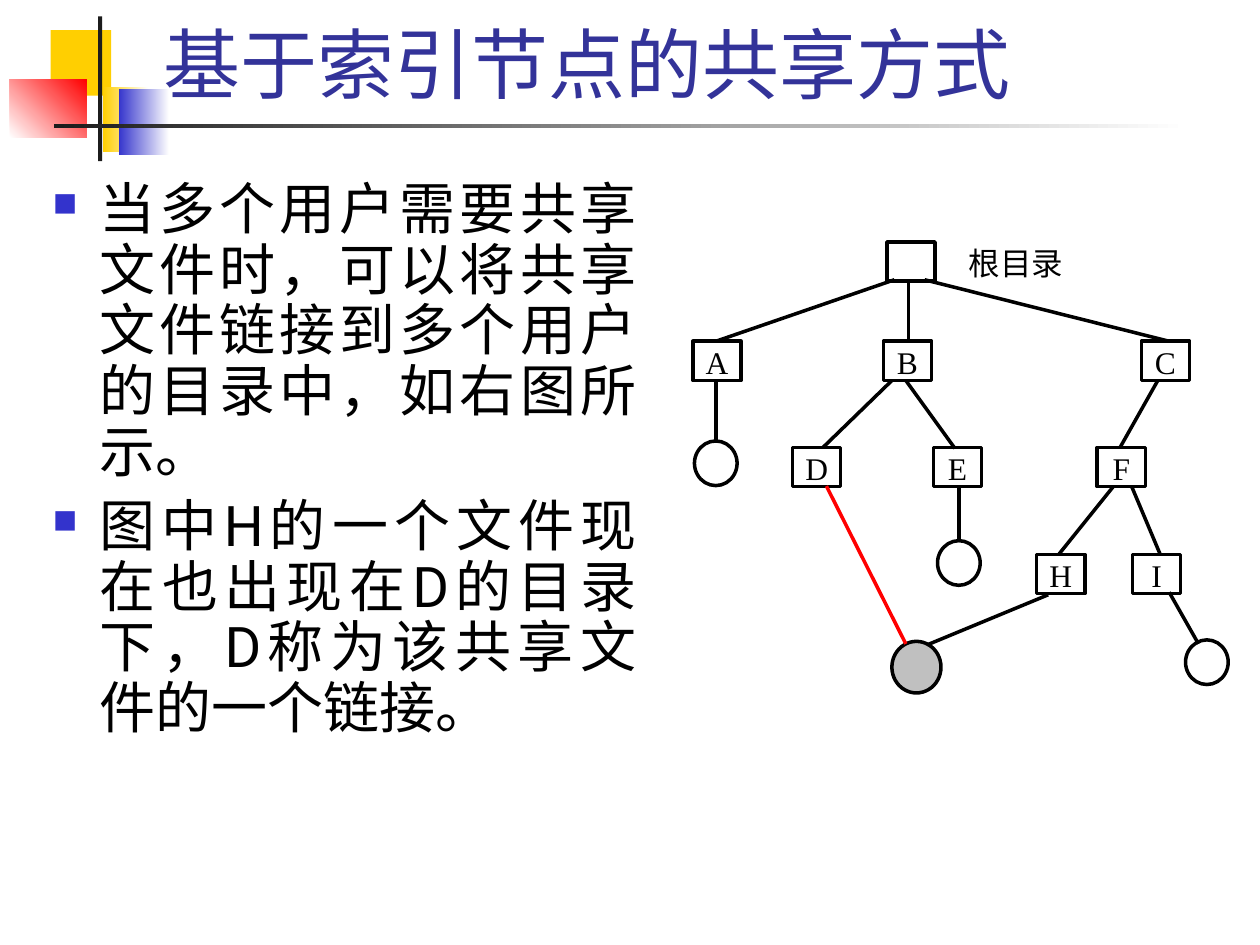
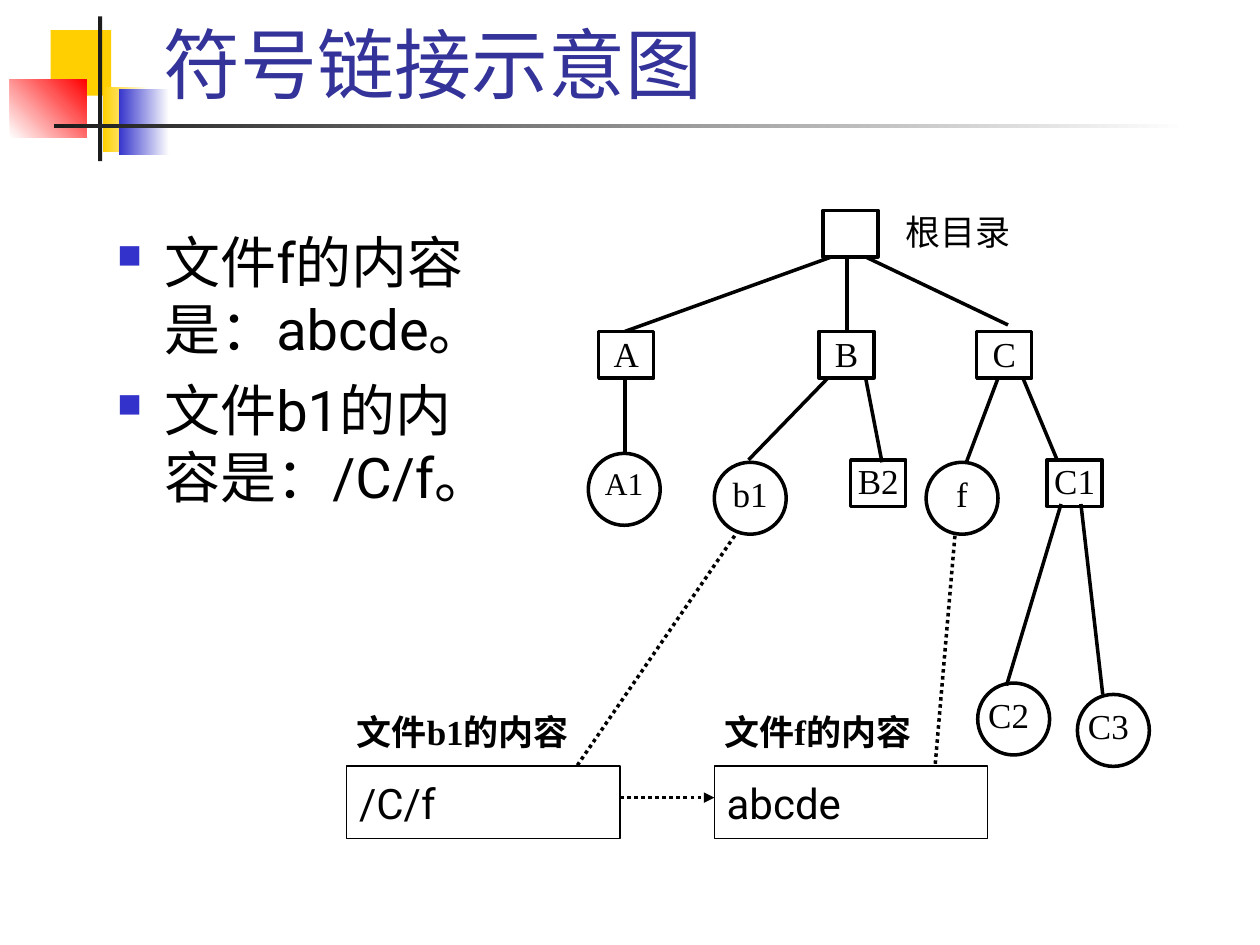
import pptx
import pptx.util
import pptx.dml.color
import pptx.enum.dml
import pptx.enum.shapes
import pptx.enum.text
import pptx.oxml.ns
from lxml import etree

Cm = pptx.util.Cm
Pt = pptx.util.Pt
RGBColor = pptx.dml.color.RGBColor
Kind = pptx.enum.shapes.MSO_SHAPE
Align = pptx.enum.text.PP_ALIGN
Anchor = pptx.enum.text.MSO_ANCHOR

BLACK = RGBColor(0x00, 0x00, 0x00)
WHITE = RGBColor(0xFF, 0xFF, 0xFF)
GRAY = RGBColor(0xC0, 0xC0, 0xC0)
RED = RGBColor(0xFF, 0x00, 0x00)
GOLD = RGBColor(0xFF, 0xCF, 0x01)
BLUE = RGBColor(0x33, 0x33, 0xCC)
NAVY = RGBColor(0x33, 0x33, 0x99)
DARK = RGBColor(0x1C, 0x1C, 0x1C)
SANS = "Roboto"
SERIF = "Times New Roman"
PAD = (0.2, 0.03, 0.2, 0.03)
BARE = (0, 0, 0, 0)
BODY = (0.25, 0.13, 0.25, 0.13)


def add_tag(parent, tag, **attrs):
    return etree.SubElement(parent, pptx.oxml.ns.qn("a:" + tag), **attrs)


class Deck:
    def __init__(self):
        self.prs = pptx.Presentation()
        self.prs.slide_width, self.prs.slide_height = Cm(25.4), Cm(19.05)
        self.slide = None

    def start(self, title):
        """Open a slide with the shared corner art, rule and title."""
        self.slide = self.prs.slides.add_slide(self.prs.slide_layouts[6])
        self.shape((1.02, 0.61, 1.22, 1.32), GOLD, width=0)
        self.fade((2.08, 1.75, 0.91, 1.32), GOLD, WHITE)
        self.fade((2.39, 1.8, 1.02, 1.32), BLUE, WHITE)
        self.fade((0.2, 1.6, 1.55, 1.17), WHITE, RED, 45)
        self.shape((1.98, 0.33, 0.08, 2.92), DARK, width=0)
        self.fade((1.09, 2.51, 22.86, 0.08), DARK, WHITE)
        self.label((3.05, 0.43, 21.64, 1.9), title, 44, SANS, color=NAVY,
                   align=Align.LEFT, pad=BODY, anchor=Anchor.BOTTOM)

    def shape(self, area, fill=WHITE, kind=Kind.RECTANGLE, width=2):
        shape = self.slide.shapes.add_shape(kind, *map(Cm, area))
        shape.shadow.inherit = False
        if fill is None:
            shape.fill.background()
        else:
            shape.fill.solid()
            shape.fill.fore_color.rgb = fill
        if width:
            shape.line.color.rgb = BLACK
            shape.line.width = Pt(width)
        else:
            shape.line.fill.background()
        return shape

    def fade(self, area, first, last, angle=0):
        fill = self.shape(area, width=0).fill
        fill.gradient()
        fill.gradient_angle = angle
        for stop, color in zip(fill.gradient_stops, (first, last)):
            stop.color.rgb = color

    def frame(self, shape, pad, anchor=Anchor.TOP, wrap=True):
        frame = shape.text_frame
        frame.word_wrap = wrap
        frame.vertical_anchor = anchor
        (frame.margin_left, frame.margin_top,
         frame.margin_right, frame.margin_bottom) = map(Cm, pad)
        return frame

    def style(self, para, text, size, font, color=BLACK, align=Align.LEFT, bold=False):
        para.text = text
        para.alignment = align
        para.font.size = Pt(size)
        para.font.name = font
        para.font.color.rgb = color
        para.font.bold = bold

    def label(self, area, text, size, font=SERIF, color=BLACK, align=Align.JUSTIFY,
              bold=False, pad=BARE, anchor=Anchor.TOP):
        box = self.slide.shapes.add_textbox(*map(Cm, area))
        para = self.frame(box, pad, anchor).paragraphs[0]
        self.style(para, text, size, font, color, align, bold)

    def points(self, area, texts, align=Align.LEFT, space=1.0):
        box = self.slide.shapes.add_textbox(*map(Cm, area))
        frame = self.frame(box, BODY)
        for i, text in enumerate(texts):
            para = frame.add_paragraph() if i else frame.paragraphs[0]
            para.line_spacing = space
            para.space_before = Pt(8 if i else 0)
            props = para._p.get_or_add_pPr()
            props.set("marL", str(Cm(0.95)))
            props.set("indent", str(Cm(-0.95)))
            add_tag(add_tag(props, "buClr"), "srgbClr", val=str(BLUE))
            add_tag(props, "buSzPct", val="60000")
            add_tag(props, "buChar", char="■")
            self.style(para, text, 32, SANS, align=align)

    def node(self, area, text="", size=18, kind=Kind.RECTANGLE, fill=WHITE,
             pad=PAD, align=Align.CENTER):
        shape = self.shape(area, fill, kind)
        if text:
            para = self.frame(shape, pad).paragraphs[0]
            self.style(para, text, size, SERIF, align=align)

    def file(self, area, text):
        shape = self.shape(area, None, width=0.75)
        frame = self.frame(shape, BODY, Anchor.MIDDLE, wrap=False)
        self.style(frame.paragraphs[0], text, 24, SANS)

    def line(self, ends, color=BLACK, dots=False, arrow=False):
        line = self.slide.shapes.add_connector(
            pptx.enum.shapes.MSO_CONNECTOR.STRAIGHT, *map(Cm, ends))
        line.line.color.rgb = color
        line.line.width = Pt(2)
        if dots:
            line.line.dash_style = pptx.enum.dml.MSO_LINE.ROUND_DOT
        props = line._element.spPr
        if arrow:
            add_tag(props.find(pptx.oxml.ns.qn("a:ln")), "tailEnd", type="triangle")
        add_tag(props, "effectLst")


def draw_shared(deck):
    deck.start("基于索引节点的共享方式")
    deck.points((0.81, 3.53, 12.27, 12.27), [
        "当多个用户需要共享文件时，可以将共享文件链接到多个用户的目录中，如右图所示。",
        "图中H的一个文件现在也出现在D的目录下，D称为该共享文件的一个链接。",
    ], Align.JUSTIFY, 0.9)

    # Folders, by row
    rows = {
        4.88: [("", 17.88)],
        6.88: [("A", 13.97), ("B", 17.81), ("C", 23.01)],
        9.02: [("D", 15.98), ("E", 18.82), ("F", 22.12)],
        11.18: [("H", 20.9), ("I", 22.83)],
    }
    for top, row in rows.items():
        for name, left in row:
            deck.node((left, top, 0.97, 0.79), name)
    deck.label((19.33, 4.88, 2.46, 0.89), "根目录", 18, pad=PAD)

    # Files
    for left, top in [(14, 8.89), (18.9, 10.9), (23.9, 12.9)]:
        deck.node((left, top, 0.86, 0.9), kind=Kind.OVAL)
    deck.node((17.98, 12.93, 0.99, 1.04), kind=Kind.OVAL, fill=GRAY)

    # Links
    for ends in [
        (18.03, 5.64, 14.43, 6.88), (18.31, 5.64, 18.31, 6.88),
        (18.64, 5.64, 23.57, 6.88), (14.43, 7.67, 14.43, 8.92),
        (17.98, 7.67, 16.59, 9.02), (18.26, 7.67, 19.25, 9.04),
        (19.33, 9.83, 19.33, 10.92), (23.34, 7.67, 22.58, 9.02),
        (22.45, 9.8, 21.34, 11.18), (22.81, 9.8, 23.39, 11.18),
        (21.13, 11.99, 18.69, 13), (23.57, 11.94, 24.16, 12.98),
    ]:
        deck.line(ends)
    deck.line((16.66, 9.8, 18.26, 12.98), RED)


def draw_symbol(deck):
    deck.start("符号链接示意图")
    deck.points((2.11, 4.45, 8.36, 11.13),
                ["文件f的内容是：abcde。", "文件b1的内容是：/C/f。"])

    # Folders, by row
    rows = {
        4.24: [("", 16.59)],
        6.68: [("A", 12.07), ("B", 16.51), ("C", 19.69)],
        9.27: [("B2", 17.15), ("C1", 21.11)],
    }
    for top, row in rows.items():
        for name, left in row:
            deck.node((left, top, 1.11, 0.94), name, 20,
                      pad=BARE if len(name) > 1 else PAD)
    deck.label((18.26, 4.24, 2.44, 0.91), "根目录", 20)

    # Files
    for name, left, top, size, align in [
        ("A1", 11.86, 9.14, 18, Align.CENTER), ("b1", 14.4, 9.32, 20, Align.CENTER),
        ("f", 18.67, 9.32, 20, Align.CENTER), ("C2", 19.71, 13.77, 20, Align.JUSTIFY),
        ("C3", 21.72, 14, 20, Align.JUSTIFY),
    ]:
        deck.node((left, top, 1.45, 1.45), name, size, Kind.OVAL, pad=BARE, align=align)

    # Links
    for ends in [
        (16.76, 5.18, 12.6, 6.68), (17.07, 5.18, 17.07, 6.68),
        (17.45, 5.18, 20.32, 6.55), (12.6, 7.62, 12.6, 9.14),
        (16.69, 7.62, 15.09, 9.27), (17.45, 7.62, 17.78, 9.32),
        (20.62, 7.62, 21.31, 9.27), (20.12, 7.62, 19.48, 9.32),
        (21.39, 10.16, 20.29, 13.82), (21.79, 10.16, 22.23, 14),
    ]:
        deck.line(ends)

    # File contents
    for left, name, text in [(6.99, "b1", "/C/f"), (14.4, "f", "abcde")]:
        deck.file((left, 15.44, 5.51, 1.47), text)
        deck.label((left + 0.2, 14.33, 5.28, 0.91), f"文件{name}的内容", 20, bold=True)
    deck.line((19.25, 10.8, 18.85, 15.44), dots=True)
    deck.line((14.81, 10.8, 11.63, 15.44), dots=True)
    deck.line((12.5, 16.08, 14.4, 16.08), dots=True, arrow=True)


def main():
    deck = Deck()
    draw_shared(deck)
    draw_symbol(deck)
    deck.prs.save("out.pptx")


if __name__ == "__main__":
    main()
